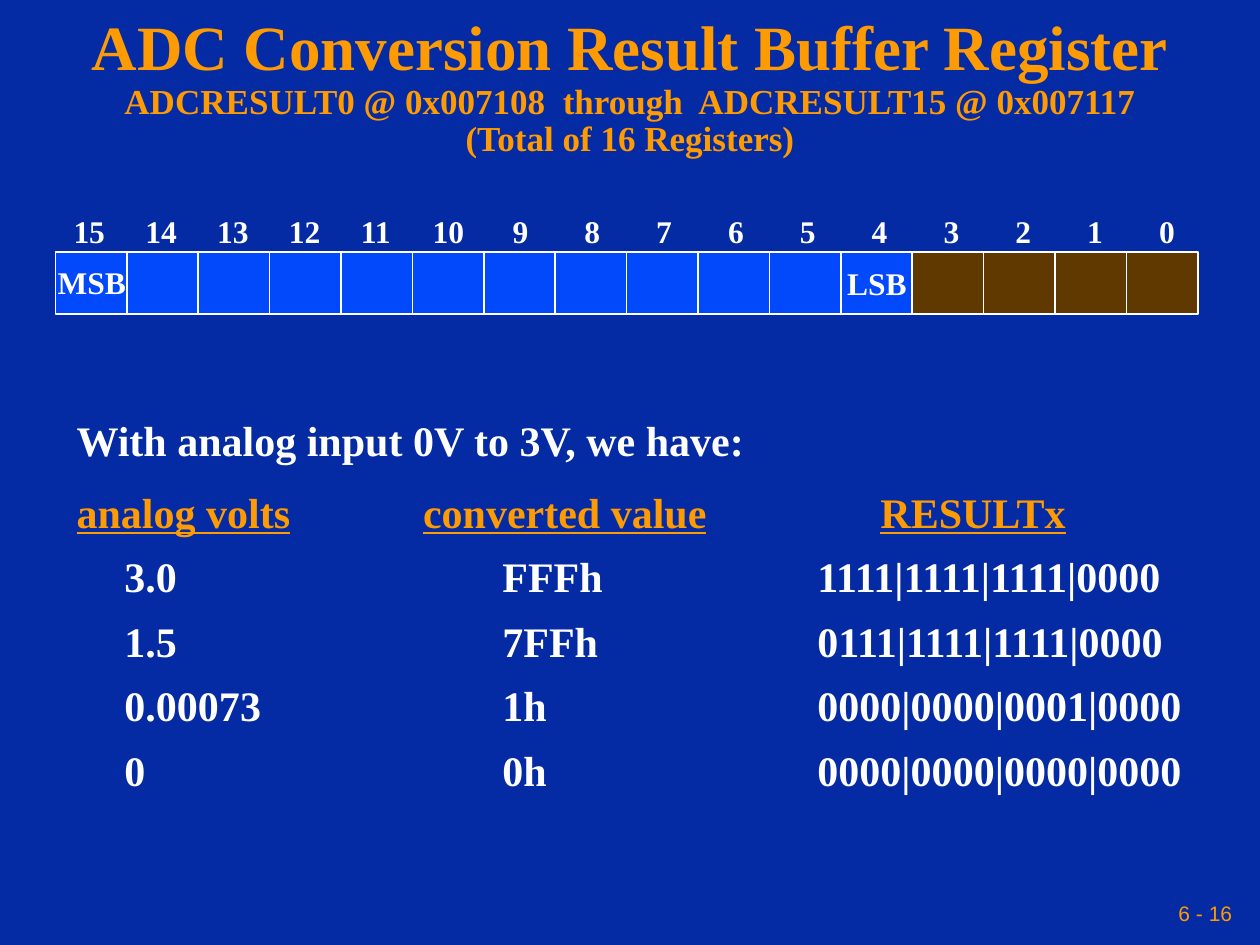
import pptx
import pptx.util
from pptx.dml.color import RGBColor
from pptx.enum.shapes import MSO_SHAPE
from pptx.enum.text import MSO_ANCHOR, MSO_AUTO_SIZE, PP_ALIGN
from pptx.oxml.ns import qn
from lxml import etree

Inches = pptx.util.Inches
Pt = pptx.util.Pt


def rgb(value):
    return RGBColor.from_string(value)


class Deck:
    serif = "Times New Roman"
    sans = "Arial"
    navy = "042AA4"
    orange = "FE9B03"
    white = "FFFFFF"
    blue = "0249FC"
    brown = "603900"

    def __init__(self):
        self.prs = pptx.Presentation()
        self.prs.slide_width = Inches(10)
        self.prs.slide_height = Inches(7.5)

    def add_slide(self):
        self.s = self.prs.slides.add_slide(self.prs.slide_layouts[5])
        fill = self.s.background.fill
        fill.solid()
        fill.fore_color.rgb = rgb(self.navy)

    def style(self, p, size, color, bold=True, name=None):
        p.font.size = Pt(size)
        p.font.bold = bold
        p.font.name = name or self.serif
        p.font.color.rgb = rgb(color)

    def title(self, lines, left, top, width, height):
        sp = self.s.shapes.title
        sp.left, sp.top = Inches(left), Inches(top)
        sp.width, sp.height = Inches(width), Inches(height)
        tf = sp.text_frame
        tf.word_wrap = True
        tf.auto_size = MSO_AUTO_SIZE.NONE
        tf.vertical_anchor = MSO_ANCHOR.MIDDLE
        for i, (text, size) in enumerate(lines):
            p = tf.add_paragraph() if i else tf.paragraphs[0]
            p.text = text
            p.alignment = PP_ALIGN.CENTER
            p.line_spacing = 0.9
            self.style(p, size, self.orange)

    def box(self, left, top, width, height, wrap=False):
        sp = self.s.shapes.add_textbox(Inches(left), Inches(top), Inches(width), Inches(height))
        tf = sp.text_frame
        tf.word_wrap = wrap
        return tf

    def label(self, text, center, top, width):
        p = self.box(center - width / 2, top, width, 0.4).paragraphs[0]
        p.text = text
        self.style(p, 18, self.white)

    def cell(self, left, top, width, height, color):
        sp = self.s.shapes.add_shape(
            MSO_SHAPE.RECTANGLE, Inches(left), Inches(top), Inches(width), Inches(height))
        sp.shadow.inherit = False
        sp.fill.solid()
        sp.fill.fore_color.rgb = rgb(color)
        sp.line.color.rgb = rgb(self.white)
        sp.line.width = Pt(1)

    def tabbed_text(self, intro, header, rows, tabs, left, top, width, height):
        tf = self.box(left, top, width, height, wrap=True)
        for i, text in enumerate([intro, header, *rows]):
            p = tf.add_paragraph() if i else tf.paragraphs[0]
            tab_list = etree.SubElement(p._p.get_or_add_pPr(), qn("a:tabLst"))
            for pos in tabs:
                etree.SubElement(tab_list, qn("a:tab"), pos=str(Inches(pos)), algn="l")
            self.style(p, 24, self.orange if text == header else self.white)
            if i:
                p.space_before = Pt(12.4 if text == header else 8)
            if text == header:
                self.underlined_words(p, text)
            else:
                p.add_run().text = text

    def underlined_words(self, p, text):
        for i, word in enumerate(text.split("\t")):
            if i:
                p.add_run().text = "\t"
            if word:
                r = p.add_run()
                r.text = word
                r.font.underline = True

    def page_number(self, text, left, top, width, height):
        tf = self.box(left, top, width, height)
        tf.margin_left = tf.margin_right = Inches(0.05)
        tf.vertical_anchor = MSO_ANCHOR.MIDDLE
        p = tf.paragraphs[0]
        p.text = text
        p.alignment = PP_ALIGN.RIGHT
        self.style(p, 12, self.orange, bold=False, name=self.sans)


def main():
    deck = Deck()
    deck.add_slide()
    deck.title([
        ("ADC Conversion Result Buffer Register", 36),
        ("ADCRESULT0 @ 0x007108  through  ADCRESULT15 @ 0x007117", 20),
        ("(Total of 16 Registers)", 20),
    ], 0, 0.36, 10, 0.67)

    bits = 16
    pitch = 8.5 / (bits - 1)
    for i in range(bits):
        bit = bits - 1 - i
        deck.cell(0.44 + i * pitch, 2, 0.57, 0.49, deck.blue if bit >= 4 else deck.brown)
    for i in range(bits):
        bit = bits - 1 - i
        deck.label(str(bit), 0.71 + i * 0.57, 1.63, 0.45 if bit >= 10 else 0.32)
    deck.label("MSB", 0.73, 2.04, 0.74)
    deck.label("LSB", 6.96, 2.05, 0.67)

    conversions = [
        ("3.0", "FFFh", "1111|1111|1111|0000"),
        ("1.5", "7FFh", "0111|1111|1111|0000"),
        ("0.00073", "1h", "0000|0000|0001|0000"),
        ("0", "0h", "0000|0000|0000|0000"),
    ]
    deck.tabbed_text(
        "With analog input 0V to 3V, we have:",
        "analog volts\tconverted value\t\tRESULTx",
        [f"\t{volts}\t\t{value}\t{result}" for volts, value, result in conversions],
        [0, 0.38, 2.75, 3.38, 5.88, 6.38, 7, 8],
        0.51, 3.24, 9, 3.03)
    deck.page_number("6 - 16", 6.83, 7.08, 3, 0.33)
    deck.prs.save("out.pptx")


if __name__ == "__main__":
    main()
